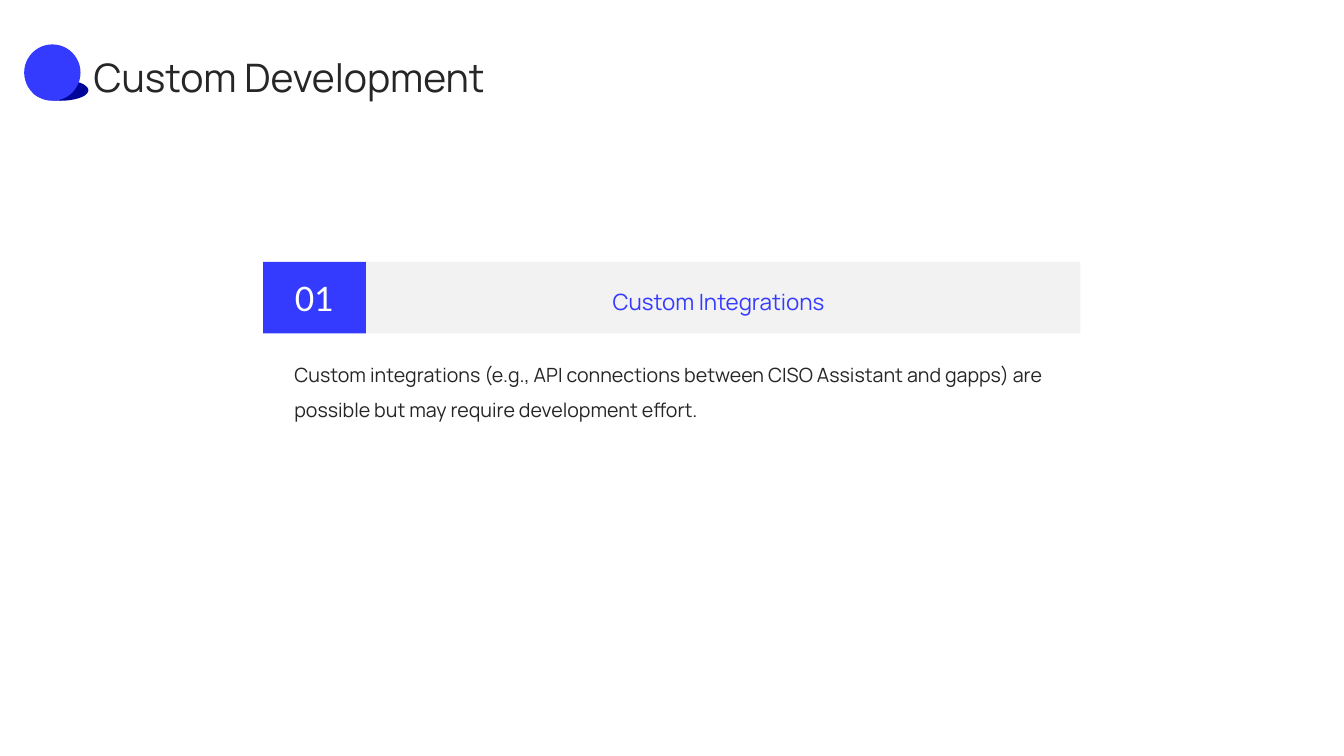
"""Build the Custom Development slide."""
from pptx import Presentation
from pptx.dml.color import RGBColor
from pptx.enum.shapes import MSO_SHAPE as Preset
from pptx.enum.text import MSO_ANCHOR as Anchor, PP_ALIGN as Align
from pptx.util import Cm, Pt

COLORS = {"blue": "343BFF", "navy": "00059A", "grey": "F2F2F2",
          "ink": "262626", "white": "FFFFFF"}
TITLE = "Custom Development"
CARD = {
    "number": "01",
    "heading": "Custom Integrations",
    "body": "Custom integrations (e.g., API connections between CISO Assistant "
            "and gapps) are possible but may require development effort.",
}

CARD_LEFT, CARD_TOP, CARD_HEIGHT = 6.63, 6.6, 1.8
NUMBER_WIDTH, HEADING_WIDTH = 2.59, 18.01
TEXT_RIGHT = 26.42
BALL_LEFT, BALL_TOP, BALL_SIZE = 0.61, 1.12, 1.42
SHADE_HEIGHT = 0.53


def add_block(page, preset, color, *frame):
    block = page.shapes.add_shape(preset, *map(Cm, frame))
    block.shadow.inherit = False
    block.fill.solid()
    block.fill.fore_color.rgb = RGBColor.from_string(COLORS[color])
    block.line.fill.background()
    return block


def add_text(page, text, frame, *, size, color="ink", font="Manrope",
             align=Align.LEFT, anchor=Anchor.MIDDLE, spacing=1.1):
    box = page.shapes.add_textbox(*map(Cm, frame))
    body = box.text_frame
    body.word_wrap = True
    body.vertical_anchor = anchor
    body.margin_left = body.margin_right = body.margin_top = body.margin_bottom = 0
    para = body.paragraphs[0]
    para.alignment = align
    para.line_spacing = spacing
    span = para.add_run()
    span.text = text
    span.font.name = font
    span.font.size = Pt(size)
    span.font.color.rgb = RGBColor.from_string(COLORS[color])


def add_card(page, card):
    heading_left = CARD_LEFT + NUMBER_WIDTH
    text_left = heading_left + 0.58
    body_left = CARD_LEFT + 0.79
    add_block(page, Preset.RECTANGLE, "grey",
              heading_left, CARD_TOP, HEADING_WIDTH, CARD_HEIGHT)
    add_block(page, Preset.RECTANGLE, "blue",
              CARD_LEFT, CARD_TOP, NUMBER_WIDTH, CARD_HEIGHT)
    add_text(page, card["body"],
             (body_left, CARD_TOP + 2.24, TEXT_RIGHT - body_left, 4.75),
             size=14, anchor=Anchor.TOP, spacing=1.5)
    add_text(page, card["heading"],
             (text_left, CARD_TOP + 0.1, TEXT_RIGHT - text_left, 1.6),
             size=16, color="blue", align=Align.CENTER, spacing=1.3)
    add_text(page, card["number"],
             (CARD_LEFT + 0.17, CARD_TOP + 0.17, NUMBER_WIDTH - 0.34, 1.4),
             size=24, color="white", font="Lato", align=Align.CENTER)


def add_title(page, title):
    add_text(page, title, (2.36, 1.24, 29.64, 1.3), size=28)
    add_block(page, Preset.OVAL, "navy", BALL_LEFT + 0.2,
              BALL_TOP + BALL_SIZE - SHADE_HEIGHT, BALL_SIZE, SHADE_HEIGHT)
    add_block(page, Preset.OVAL, "blue", BALL_LEFT, BALL_TOP, BALL_SIZE, BALL_SIZE)


def main():
    deck = Presentation()
    deck.slide_width, deck.slide_height = Cm(33.87), Cm(19.05)
    page = deck.slides.add_slide(deck.slide_layouts[6])
    add_card(page, CARD)
    add_title(page, TITLE)
    deck.save("out.pptx")


if __name__ == "__main__":
    main()
